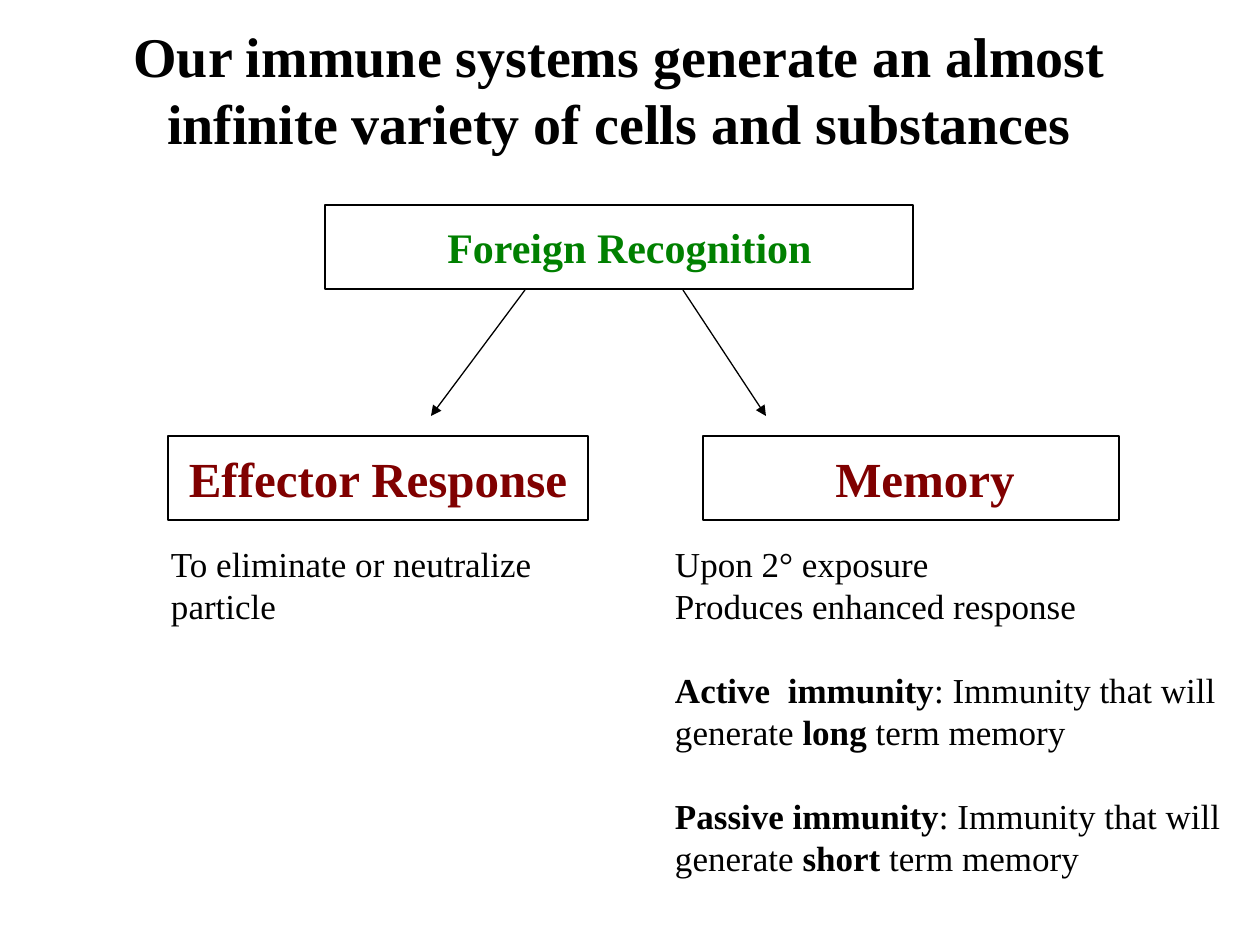
from pptx import Presentation
from pptx.dml.color import RGBColor
from pptx.enum.shapes import MSO_CONNECTOR, MSO_SHAPE
from pptx.enum.text import MSO_ANCHOR, MSO_AUTO_SIZE, PP_ALIGN
from pptx.oxml.ns import qn
from pptx.util import Pt
from lxml import etree

RECTANGLE, STRAIGHT = MSO_SHAPE.RECTANGLE, MSO_CONNECTOR.STRAIGHT
MIDDLE, TOP = MSO_ANCHOR.MIDDLE, MSO_ANCHOR.TOP
CENTER, LEFT = PP_ALIGN.CENTER, PP_ALIGN.LEFT
NO_FIT = MSO_AUTO_SIZE.NONE

SCALE = 914400 / 126  # EMU per px
INSET = 13            # px

THEME = {
    "font": "Times New Roman",
    "black": RGBColor(0, 0, 0),
    "line": 0.75,
    "title": {"size": Pt(32), "color": RGBColor(0, 0, 0)},
    "source": {"size": Pt(24), "color": RGBColor(0, 128, 0)},
    "outcome": {"size": Pt(28), "color": RGBColor(128, 0, 0)},
    "body": {"size": Pt(20), "color": RGBColor(0, 0, 0)},
    "gap": Pt(24),
}

# Content: places are (left, top, width, height)
TITLE = ("Our immune systems generate an almost infinite variety of cells and substances",
         (84, 10, 1071, 158))
# Label, style, place, indent of the centred label
STAGES = [
    ("Foreign Recognition", "source", (325, 205, 588, 84), 21),
    ("Effector Response", "outcome", (168, 436, 420, 84), 0),
    ("Memory", "outcome", (703, 436, 416, 84), 28),
]
ARROWS = [((525, 290), (431, 416)), ((683, 290), (766, 416))]
# Each paragraph: (gap before, [(text, bold), ...])
NOTES = [
    ((158, 536, 462, 97), [
        (False, [("To eliminate or neutralize particle", False)]),
    ]),
    ((662, 536, 598, 352), [
        (False, [("Upon 2° exposure", False)]),
        (False, [("Produces enhanced response", False)]),
        (True, [("Active  immunity", True), (": Immunity that will generate ", False),
                ("long", True), (" term memory", False)]),
        (True, [("Passive immunity", True), (": Immunity that will generate ", False),
                ("short", True), (" term memory", False)]),
    ]),
]


def emu(lengths):
    return [round(length * SCALE) for length in lengths]


def format_frame(frame, anchor, indent=0):
    left, right = emu((INSET + indent, INSET))
    values = {"word_wrap": True, "auto_size": NO_FIT, "vertical_anchor": anchor,
              "margin_left": left, "margin_right": right}
    for name, value in values.items():
        setattr(frame, name, value)


def add_span(para, text, style, bold):
    span = para.add_run()
    span.text = text
    values = {"name": THEME["font"], "size": THEME[style]["size"], "bold": bold}
    for name, value in values.items():
        setattr(span.font, name, value)
    span.font.color.rgb = THEME[style]["color"]


def set_label(shape, text, style, indent=0):
    format_frame(shape.text_frame, MIDDLE, indent)
    para = shape.text_frame.paragraphs[0]
    para.alignment = CENTER
    add_span(para, text, style, True)


def set_line(shape):
    shape.line.color.rgb = THEME["black"]
    shape.line.width = Pt(THEME["line"])


def add_stage(page, text, style, place, indent):
    box = page.shapes.add_shape(RECTANGLE, *emu(place))
    box.shadow.inherit = False
    box.fill.background()
    set_line(box)
    set_label(box, text, style, indent)


def add_arrow(page, start, end):
    arrow = page.shapes.add_connector(STRAIGHT, *emu(start + end))
    set_line(arrow)
    etree.SubElement(arrow.line._get_or_add_ln(), qn("a:tailEnd"), type="triangle")
    etree.SubElement(arrow._element.spPr, qn("a:effectLst"))


def add_note(page, place, paragraphs):
    frame = page.shapes.add_textbox(*emu(place)).text_frame
    format_frame(frame, TOP)
    for index, (gap, spans) in enumerate(paragraphs):
        para = frame.add_paragraph() if index else frame.paragraphs[0]
        para.alignment = LEFT
        if gap:
            para.space_before = THEME["gap"]
        for text, bold in spans:
            add_span(para, text, "body", bold)


def main():
    deck = Presentation()
    deck.slide_width, deck.slide_height = emu((1260, 945))
    page = deck.slides.add_slide(deck.slide_layouts[5])

    # Title
    text, place = TITLE
    title = page.shapes.title
    title.left, title.top, title.width, title.height = emu(place)
    set_label(title, text, "title")

    # Diagram
    for stage in STAGES:
        add_stage(page, *stage)
    for start, end in ARROWS:
        add_arrow(page, start, end)

    # Explanations under the outcomes
    for place, paragraphs in NOTES:
        add_note(page, place, paragraphs)

    deck.save("out.pptx")


if __name__ == "__main__":
    main()
